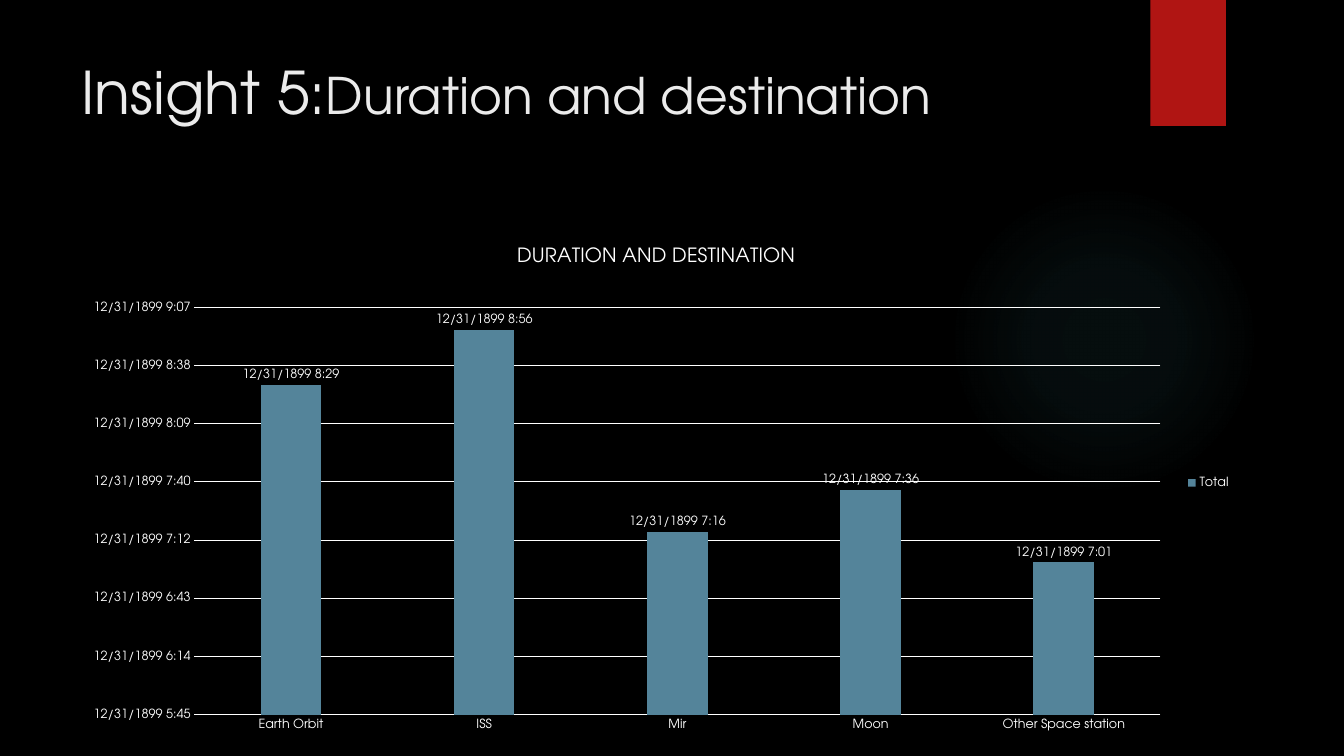
from pptx import Presentation
from pptx import util as u
from pptx.chart.data import CategoryChartData
from pptx.dml.color import RGBColor
from pptx.enum import chart as charts, shapes, text
from pptx.oxml import parse_xml
from pptx.oxml.ns import nsdecls

BLACK = RGBColor(0x00, 0x00, 0x00)
WHITE = RGBColor(0xFF, 0xFF, 0xFF)
PALE = RGBColor(0xEB, 0xEB, 0xEB)
RED = RGBColor(0xB0, 0x15, 0x13)
STEEL = RGBColor(0x54, 0x84, 0x9A)
TEAL = RGBColor(0x50, 0xB9, 0xC1)
FONT = "TeX Gyre Adventor"
DATE_FORMAT = r"m/d/yyyy\ h:mm"

# Durations as spreadsheet dates, in days
DURATIONS = {
    "Earth Orbit": 1.3535,
    "ISS": 1.3723,
    "Mir": 1.3028,
    "Moon": 1.3173,
    "Other Space station": 1.2924,
}


class Page:
    def __init__(self, deck):
        self.slide = deck.slides.add_slide(deck.slide_layouts[5])
        self.slide.background.fill.solid()
        self.slide.background.fill.fore_color.rgb = BLACK

    def style(self, font, size, color=WHITE):
        font.name, font.size, font.bold = FONT, u.Pt(size), False
        font.color.rgb = color

    def shape(self, kind, left, top, width, height, color):
        shape = self.slide.shapes.add_shape(
            kind, *(u.Inches(n) for n in (left, top, width, height)))
        shape.shadow.inherit = False
        shape.fill.solid()
        shape.fill.fore_color.rgb = color
        shape.line.fill.background()
        return shape

    def glow(self, left, top, size, color, stops):
        """Circle fading outwards; stops are (position %, opacity %)."""
        circle = self.shape(shapes.MSO_SHAPE.OVAL, left, top, size, size, color)
        marks = "".join(
            f'<a:gs pos="{pos * 1000}"><a:srgbClr val="{color}">'
            f'<a:alpha val="{alpha * 1000}"/></a:srgbClr></a:gs>'
            for pos, alpha in stops)
        gradient = parse_xml(
            f'<a:gradFill {nsdecls("a")}><a:gsLst>{marks}</a:gsLst>'
            '<a:path path="circle"><a:fillToRect l="50000" t="50000" '
            'r="50000" b="50000"/></a:path></a:gradFill>')
        properties = circle.element.spPr
        solid = properties.find(".//{*}solidFill")
        properties.replace(solid, gradient)

    def title(self, left, top, width, height, spans):
        box = self.slide.shapes.title
        box.left, box.top = u.Inches(left), u.Inches(top)
        box.width, box.height = u.Inches(width), u.Inches(height)
        frame = box.text_frame
        frame.word_wrap = True
        frame.auto_size = text.MSO_AUTO_SIZE.NONE
        frame.vertical_anchor = text.MSO_ANCHOR.TOP
        para = frame.paragraphs[0]
        para.alignment = text.PP_ALIGN.LEFT
        for words, size in spans:
            span = para.add_run()
            span.text = words
            self.style(span.font, size, PALE)

    def column_chart(self, left, top, width, height, heading, name, values):
        data = CategoryChartData(number_format=DATE_FORMAT)
        data.categories = list(values)
        data.add_series(name, list(values.values()))
        chart = self.slide.shapes.add_chart(
            charts.XL_CHART_TYPE.COLUMN_CLUSTERED,
            *(u.Inches(n) for n in (left, top, width, height)), data).chart
        self.style(chart.font, 10)

        # Heading and legend
        chart.has_title = True
        para = chart.chart_title.text_frame.paragraphs[0]
        para.text = heading
        self.style(para.font, 14)
        chart.chart_title.include_in_layout = False
        chart.has_legend = True
        chart.legend.position = charts.XL_LEGEND_POSITION.RIGHT
        chart.legend.include_in_layout = False
        self.style(chart.legend.font, 9)

        # Axes
        for axis in (chart.category_axis, chart.value_axis):
            axis.major_tick_mark = charts.XL_TICK_MARK.NONE
            axis.minor_tick_mark = charts.XL_TICK_MARK.NONE
            self.style(axis.tick_labels.font, 9)
        scale = chart.value_axis
        scale.minimum_scale, scale.maximum_scale = 1.24, 1.38
        scale.major_unit = 0.02
        scale.tick_labels.number_format = DATE_FORMAT
        scale.tick_labels.number_format_is_linked = False
        scale.format.line.fill.background()
        scale.has_major_gridlines = True
        for line in (scale.major_gridlines.format.line,
                     chart.category_axis.format.line):
            line.color.rgb = WHITE
            line.width = u.Pt(0.75)

        # Columns and their labels
        plot = chart.plots[0]
        plot.gap_width, plot.overlap = 219, -27
        plot.vary_by_categories = False
        series = plot.series[0]
        series.format.fill.solid()
        series.format.fill.fore_color.rgb = STEEL
        labels = series.data_labels
        labels.show_value = True
        labels.position = charts.XL_LABEL_POSITION.OUTSIDE_END
        labels.number_format = DATE_FORMAT
        labels.number_format_is_linked = False
        self.style(labels.font, 9)
        self.place_plot(chart, x=0.105, y=0.159, w=0.826, h=0.792)

    def place_plot(self, chart, **parts):
        """Fix the inner plot area as fractions of the chart."""
        sizes = "".join(f'<c:{k} val="{v}"/>' for k, v in parts.items())
        layout = parse_xml(
            f'<c:layout {nsdecls("c")}><c:manualLayout>'
            '<c:layoutTarget val="inner"/><c:xMode val="edge"/>'
            f'<c:yMode val="edge"/>{sizes}</c:manualLayout></c:layout>')
        area = chart.element.find(".//{*}plotArea")
        for old in area.findall("{*}layout"):
            area.remove(old)
        area.insert(0, layout)


def main():
    deck = Presentation()
    deck.slide_width, deck.slide_height = u.Inches(13.33), u.Inches(7.5)
    page = Page(deck)

    # Backdrop
    page.glow(9.41, 1.83, 3.08, TEAL, [(0, 7), (36, 6), (69, 0)])
    page.shape(shapes.MSO_SHAPE.RECTANGLE, 11.41, 0, 0.75, 1.25, RED)

    # Content
    page.title(0.71, 0.5, 10.29, 1.53,
               [("Insight 5:", 42), ("Duration and destination", 36)])
    page.column_chart(0.71, 2.24, 11.6, 5.1,
                      "DURATION AND DESTINATION", "Total", DURATIONS)
    deck.save("out.pptx")


if __name__ == "__main__":
    main()
